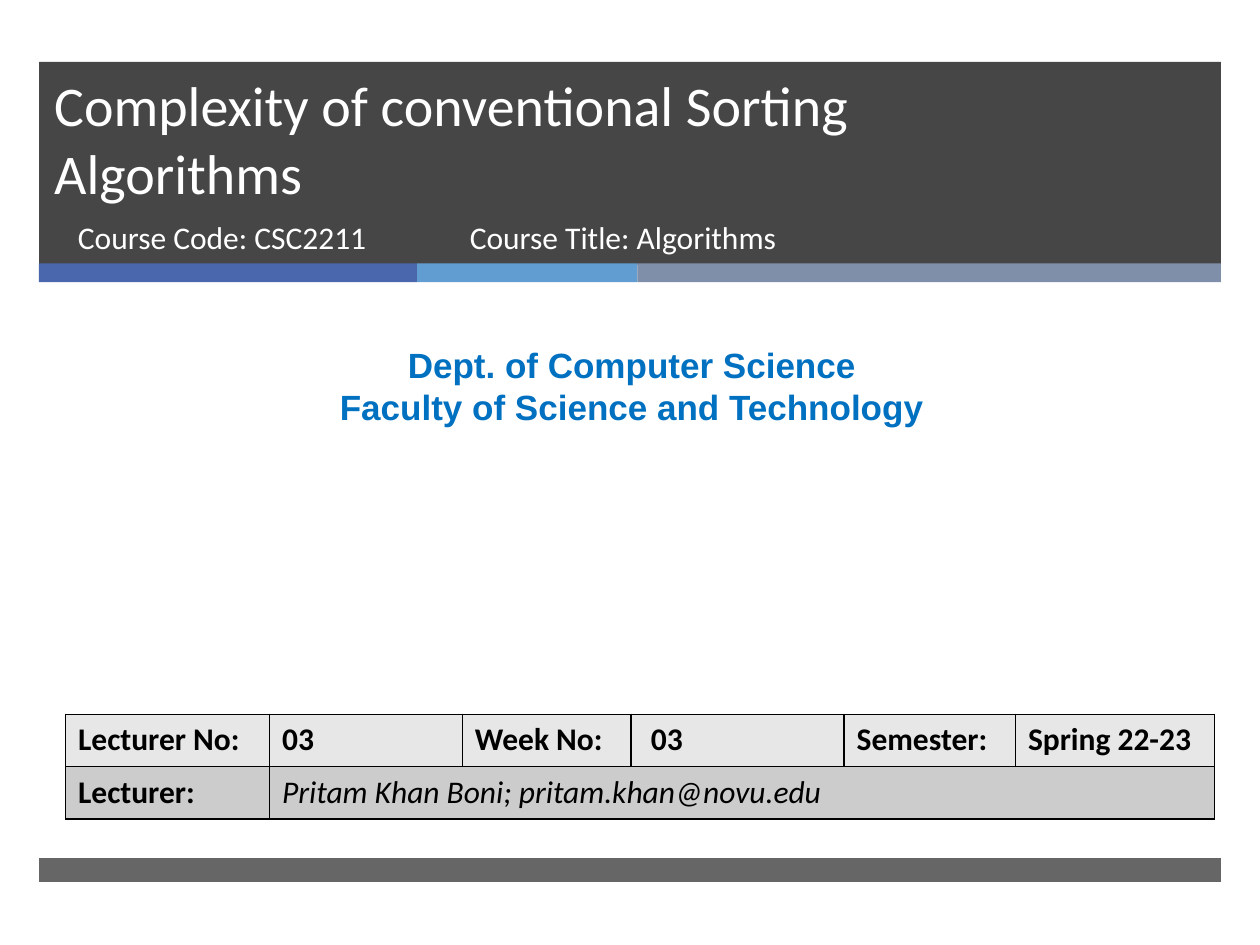
from lxml import etree
from pptx import Presentation, util as u
from pptx.dml.color import RGBColor
from pptx.enum import shapes, text
from pptx.oxml import ns

WIDTH, HEIGHT = 10, 7.5
BAND_LEFT, BAND_WIDTH = 0.31, 9.38
WHITE, BLACK, CHARCOAL, BLUE = "FFFFFF", "000000", "262626", "0070C0"
ACCENTS = [("4A66AC", 3), ("629DD1", 1.75), ("7F8FA9", 4.63)]
COLUMNS = [1.62, 1.53, 1.34, 1.69, 1.36, 1.58]
ROW_HEIGHT = 0.415
HEADINGS = ["Lecturer No:", "03", "Week No:", " 03", "Semester:", "Spring 22-23"]


def color(value):
    return RGBColor.from_string(value)


def inches(*lengths):
    return [u.Inches(length) for length in lengths]


def write(frame, content, size=18, font="Calibri", fill=WHITE, bold=False,
          italic=False, align=text.PP_ALIGN.LEFT):
    """Fill a text frame, one paragraph per line of content."""
    frame.text = content
    for paragraph in frame.paragraphs:
        paragraph.alignment = align
        for run in paragraph.runs:
            run.font.size = u.Pt(size)
            run.font.name = font
            run.font.color.rgb = color(fill)
            run.font.bold = bold
            run.font.italic = italic


def add_bar(slide, left, top, width, height, fill, opacity=100):
    shape = slide.shapes.add_shape(
        shapes.MSO_SHAPE.RECTANGLE, *inches(left, top, width, height))
    shape.shadow.inherit = False
    shape.line.fill.background()
    shape.fill.solid()
    shape.fill.fore_color.rgb = color(fill)
    if opacity < 100:
        tint = shape.fill._xPr.find(".//" + ns.qn("a:srgbClr"))
        etree.SubElement(tint, ns.qn("a:alpha"), val=str(opacity * 1000))


def add_text(slide, box, content, **format):
    frame = slide.shapes.add_textbox(*inches(*box)).text_frame
    frame.word_wrap = True
    write(frame, content, **format)


def set_title(slide, content):
    title = slide.shapes.title
    title.left, title.top, title.width, title.height = inches(0.33, 0.49, 8.54, 1.19)
    frame = title.text_frame
    frame.word_wrap = True
    frame.auto_size = text.MSO_AUTO_SIZE.NONE
    frame.vertical_anchor = text.MSO_ANCHOR.BOTTOM
    frame.margin_right = u.Inches(0.2)
    write(frame, content, size=32)


def add_borders(cell):
    properties = cell._tc.get_or_add_tcPr()
    for index, side in enumerate(["a:lnL", "a:lnR", "a:lnT", "a:lnB"]):
        line = etree.Element(ns.qn(side), w=str(u.Pt(1)))
        fill = etree.SubElement(line, ns.qn("a:solidFill"))
        etree.SubElement(fill, ns.qn("a:srgbClr"), val=BLACK)
        properties.insert(index, line)


def add_lecture_table(slide):
    table = slide.shapes.add_table(
        2, len(COLUMNS),
        *inches(0.52, 5.67, sum(COLUMNS), 2 * ROW_HEIGHT)).table
    for column, width in zip(table.columns, COLUMNS):
        column.width = u.Inches(width)
    for row, fill in zip(table.rows, ["E7E7E7", "CCCCCC"]):
        row.height = u.Inches(ROW_HEIGHT)
        for cell in row.cells:
            cell.fill.solid()
            cell.fill.fore_color.rgb = color(fill)
            add_borders(cell)
    table.cell(1, 1).merge(table.cell(1, len(COLUMNS) - 1))
    for index, heading in enumerate(HEADINGS):
        write(table.cell(0, index).text_frame, heading, fill=BLACK, bold=True)
    write(table.cell(1, 0).text_frame, "Lecturer:", fill=BLACK, bold=True)
    write(table.cell(1, 1).text_frame, "Pritam Khan Boni; pritam.khan@novu.edu",
          fill=BLACK, italic=True)


def main():
    presentation = Presentation()
    presentation.slide_width, presentation.slide_height = inches(WIDTH, HEIGHT)
    slide = presentation.slides.add_slide(presentation.slide_layouts.get_by_name("Title Only"))

    # The title is the first shape, so the header band goes behind it.
    add_bar(slide, BAND_LEFT, 0.49, BAND_WIDTH, 1.61, CHARCOAL, opacity=85)
    tree = slide.shapes._spTree
    tree.append(slide.shapes.title._element)
    left = BAND_LEFT
    for fill, width in ACCENTS:
        add_bar(slide, left, 2.09, width, 0.15, fill)
        left += width
    add_bar(slide, BAND_LEFT, 6.81, BAND_WIDTH, 0.19, CHARCOAL, opacity=70)

    set_title(slide, "Complexity of conventional Sorting Algorithms")
    add_text(slide, (0.52, 1.68, 3.05, 0.53), "Course Code: CSC2211")
    add_text(slide, (3.63, 1.68, 4.55, 0.53), "Course Title: Algorithms")
    add_text(slide, (0.08, 2.68, 9.87, 0.77),
             "Dept. of Computer Science\nFaculty of Science and Technology",
             size=20, font="Arial", fill=BLUE, bold=True,
             align=text.PP_ALIGN.CENTER)
    add_lecture_table(slide)
    presentation.save("out.pptx")


if __name__ == "__main__":
    main()
